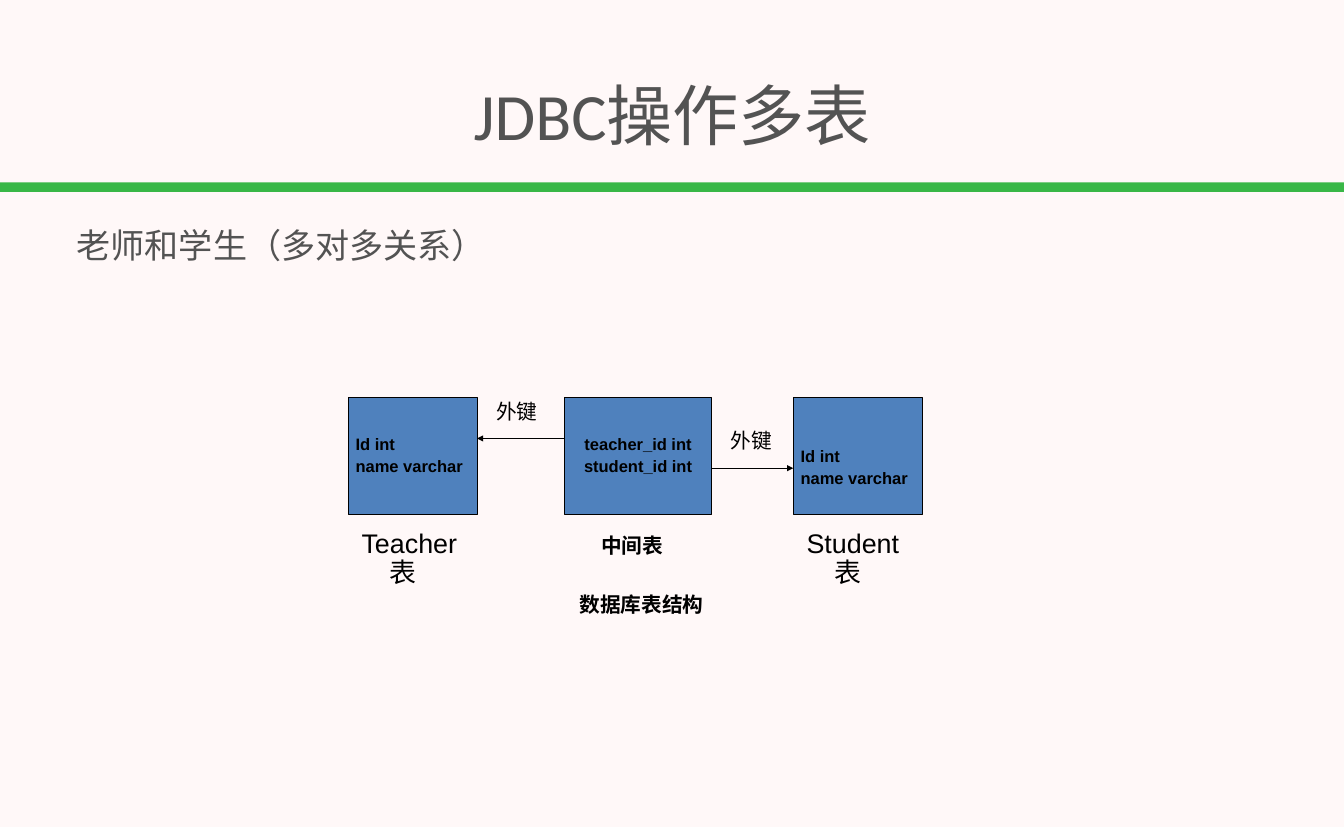
from dataclasses import dataclass

from lxml import etree
from pptx import Presentation
from pptx.dml.color import RGBColor
from pptx.enum.shapes import MSO_CONNECTOR, MSO_SHAPE
from pptx.enum.text import MSO_ANCHOR, PP_ALIGN
from pptx.oxml.ns import qn
from pptx.shapes.autoshape import Shape
from pptx.slide import Slide
from pptx.util import Inches, Pt

LEFT, CENTER = PP_ALIGN.LEFT, PP_ALIGN.CENTER
TOP, MIDDLE = MSO_ANCHOR.TOP, MSO_ANCHOR.MIDDLE
RECTANGLE = MSO_SHAPE.RECTANGLE
STRAIGHT = MSO_CONNECTOR.STRAIGHT


@dataclass(frozen=True)
class Theme:
    """Colours, fonts and type sizes of the slide."""
    background: RGBColor = RGBColor(0xFF, 0xF8, 0xF8)
    bar: RGBColor = RGBColor(0x39, 0xB7, 0x47)
    box: RGBColor = RGBColor(0x4F, 0x81, 0xBD)
    heading: RGBColor = RGBColor(0x53, 0x53, 0x53)
    ink: RGBColor = RGBColor(0, 0, 0)
    heading_font: str = "Calibri"
    diagram_font: str = "Arial"
    title_size: int = 64
    body_size: int = 33
    name_size: int = 26
    label_size: int = 20
    column_size: int = 16
    line_width: float = 0.75


@dataclass(frozen=True)
class Heading:
    """A heading line above the diagram."""
    text: str
    left: float
    top: float
    width: float
    height: float
    size: int
    alignment: PP_ALIGN = LEFT
    anchor: MSO_ANCHOR = TOP
    space_before: float = 0


@dataclass(frozen=True)
class TableBox:
    """A database table drawn as a box of column definitions."""
    columns: str
    left: float
    width: float
    alignment: PP_ALIGN = LEFT
    top_inset: float = 0.05

    @property
    def right(self) -> float:
        """Return the right edge in inches."""
        return self.left + self.width


@dataclass(frozen=True)
class Label:
    """A caption in the diagram."""
    text: str
    left: float
    top: float
    width: float
    size: int
    bold: bool = False
    alignment: PP_ALIGN = LEFT


@dataclass(frozen=True)
class Arrow:
    """A horizontal foreign key arrow."""
    start: float
    end: float
    y: float


THEME = Theme()
SLIDE_WIDTH, SLIDE_HEIGHT = 18.06, 11.11
BOX_TOP, BOX_HEIGHT = 5.34, 1.57
LABEL_HEIGHT = 0.4
HANGING_INDENT = 0.38

HEADINGS = (
    Heading("JDBC操作多表", 0.05, 0.82, 17.97, 1.42, THEME.title_size, CENTER, MIDDLE),
    Heading("老师和学生（多对多关系）", 0.98, 2.96, 8.42, 0.79, THEME.body_size,
            space_before=11),
)
TEACHER = TableBox("Id int\nname varchar", 4.68, 1.73)
MIDDLE_TABLE = TableBox("teacher_id int\nstudent_id int", 7.59, 1.97, CENTER)
STUDENT = TableBox("Id int\nname varchar", 10.66, 1.73, top_inset=0.37)
ARROWS = (
    Arrow(MIDDLE_TABLE.left, TEACHER.right, 5.89),
    Arrow(MIDDLE_TABLE.right, STUDENT.left, 6.29),
)
LABELS = (
    Label("Teacher表", 4.76, 7.07, 1.57, THEME.name_size),
    Label("Student表", 10.74, 7.07, 1.5, THEME.name_size),
    Label("中间表", 7.98, 7.15, 1.42, THEME.label_size, True),
    Label("外键", 6.57, 5.34, 0.87, THEME.label_size),
    Label("外键", 9.72, 5.73, 0.87, THEME.label_size),
    Label("数据库表结构", 6.57, 7.94, 4.1, THEME.label_size, True, CENTER),
)


def style_text(shape: Shape, size: int, font_name: str, color: RGBColor,
               alignment: PP_ALIGN, bold: bool = False) -> None:
    """Format every run of a shape."""
    for paragraph in shape.text_frame.paragraphs:
        paragraph.alignment = alignment
        for run in paragraph.runs:
            run.font.size = Pt(size)
            run.font.name = font_name
            run.font.bold = bold
            run.font.color.rgb = color


def hang_paragraphs(shape: Shape) -> None:
    """Give diagram text its hanging indent and tight lines."""
    for paragraph in shape.text_frame.paragraphs:
        paragraph.line_spacing = 0.9
        properties = paragraph._p.get_or_add_pPr()
        properties.set("marL", str(Inches(HANGING_INDENT)))
        properties.set("indent", str(Inches(-HANGING_INDENT)))


def add_rectangle(slide: Slide, left: float, top: float, width: float,
                  height: float, fill: RGBColor) -> Shape:
    """Add a flat rectangle without an outline."""
    shape = slide.shapes.add_shape(RECTANGLE, Inches(left), Inches(top),
                                   Inches(width), Inches(height))
    shape.shadow.inherit = False
    shape.fill.solid()
    shape.fill.fore_color.rgb = fill
    shape.line.fill.background()
    return shape


def add_heading(slide: Slide, heading: Heading) -> None:
    """Add a heading with narrow margins."""
    shape = slide.shapes.add_textbox(Inches(heading.left), Inches(heading.top),
                                     Inches(heading.width), Inches(heading.height))
    frame = shape.text_frame
    frame.word_wrap = True
    frame.vertical_anchor = heading.anchor
    frame.margin_left = frame.margin_right = Inches(0.05)
    frame.text = heading.text
    frame.paragraphs[0].space_before = Pt(heading.space_before)
    style_text(shape, heading.size, THEME.heading_font, THEME.heading, heading.alignment)


def add_table_box(slide: Slide, box: TableBox) -> None:
    """Add an outlined box listing the columns of a table."""
    shape = add_rectangle(slide, box.left, BOX_TOP, box.width, BOX_HEIGHT, THEME.box)
    shape.line.color.rgb = THEME.ink
    shape.line.width = Pt(THEME.line_width)
    frame = shape.text_frame
    frame.word_wrap = False
    frame.vertical_anchor = MIDDLE
    frame.margin_top = Inches(box.top_inset)
    frame.text = box.columns
    style_text(shape, THEME.column_size, THEME.diagram_font, THEME.ink, box.alignment, True)
    hang_paragraphs(shape)
    for paragraph in frame.paragraphs[1:]:
        paragraph.space_before = Pt(3.7)


def add_label(slide: Slide, label: Label) -> None:
    """Add a diagram caption."""
    shape = slide.shapes.add_textbox(Inches(label.left), Inches(label.top),
                                     Inches(label.width), Inches(LABEL_HEIGHT))
    shape.text_frame.word_wrap = True
    shape.text_frame.text = label.text
    style_text(shape, label.size, THEME.diagram_font, THEME.ink, label.alignment, label.bold)
    hang_paragraphs(shape)


def add_arrow(slide: Slide, arrow: Arrow) -> None:
    """Add a thin line with a triangle at its end."""
    connector = slide.shapes.add_connector(STRAIGHT, Inches(arrow.start), Inches(arrow.y),
                                           Inches(arrow.end), Inches(arrow.y))
    connector.line.color.rgb = THEME.ink
    connector.line.width = Pt(THEME.line_width)
    etree.SubElement(connector.line._get_or_add_ln(), qn("a:tailEnd"), type="triangle")
    etree.SubElement(connector._element.spPr, qn("a:effectLst"))


def main() -> None:
    """Build and save the slide."""
    presentation = Presentation()
    presentation.slide_width = Inches(SLIDE_WIDTH)
    presentation.slide_height = Inches(SLIDE_HEIGHT)
    slide = presentation.slides.add_slide(presentation.slide_layouts[6])
    slide.background.fill.solid()
    slide.background.fill.fore_color.rgb = THEME.background
    add_rectangle(slide, 0, 2.45, SLIDE_WIDTH, 0.13, THEME.bar)
    for heading in HEADINGS:
        add_heading(slide, heading)
    for box in (TEACHER, MIDDLE_TABLE, STUDENT):
        add_table_box(slide, box)
    for arrow in ARROWS:
        add_arrow(slide, arrow)
    for label in LABELS:
        add_label(slide, label)
    presentation.save("out.pptx")


main()
